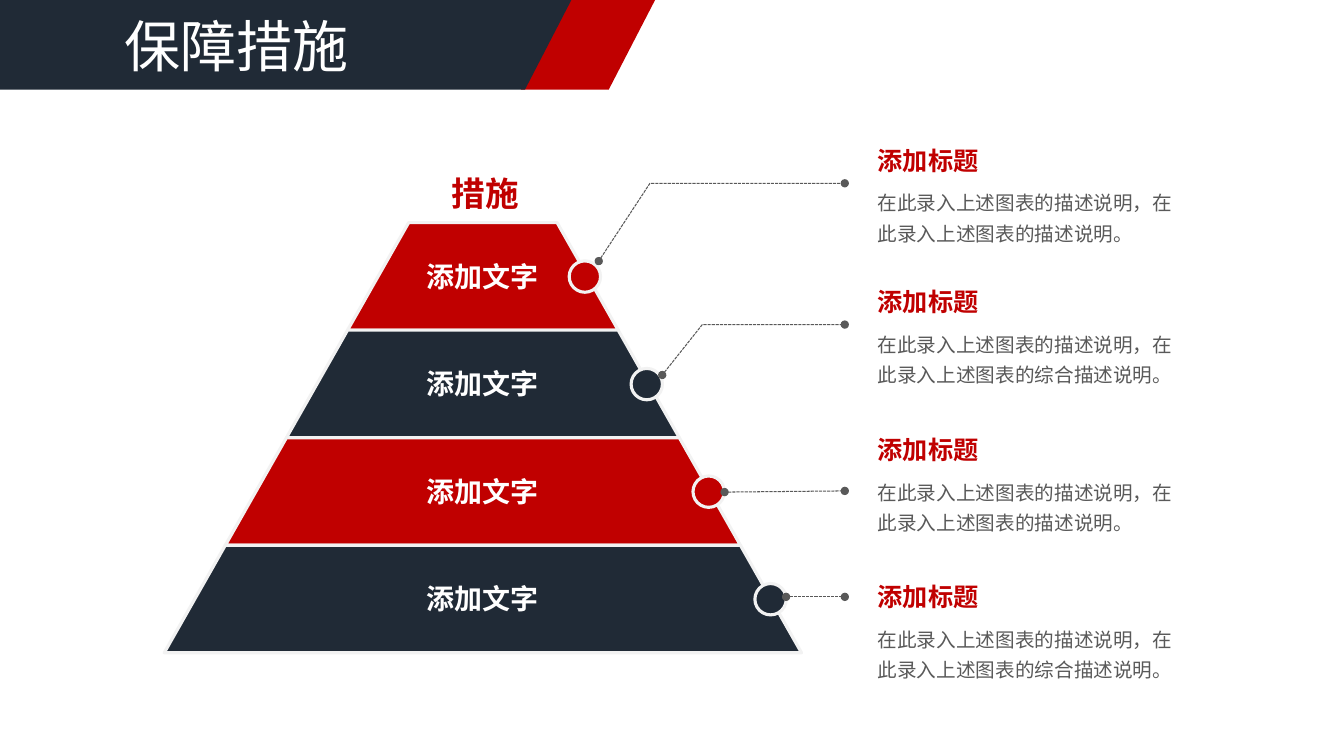
from typing import NamedTuple

from lxml.etree import SubElement
from pptx import Presentation
from pptx.dml.color import RGBColor
from pptx.enum.dml import MSO_LINE
from pptx.enum.shapes import MSO_CONNECTOR as Connector, MSO_SHAPE as Preset
from pptx.enum.text import MSO_ANCHOR as Anchor, MSO_AUTO_SIZE as AutoSize, PP_ALIGN as Align
from pptx.oxml.ns import qn
from pptx.util import Cm, Pt

COLOURS = {
    "red": "C00000",
    "navy": "202A36",
    "white": "FFFFFF",
    "edge": "F2F2F2",
    "grey": "595959",
}
CJK_FONT = "Noto Sans CJK SC"
TITLE_ONLY = 5

Point = tuple[float, float]

PYRAMID_CENTRE = 12.17
PYRAMID_TOP = 5.61
LAYER_HEIGHT = 2.71
TOP_HALF_WIDTH = 1.87
HALF_WIDTH_STEP = 1.54
LABEL_HEIGHT = 1.02
MARKER_SIZE = 0.79
FIRST_MARKER = (14.74, 6.97)
MARKER_STEP = 1.56
NOTE_LEFT = 21.87


class Layer(NamedTuple):
    colour: str
    label_width: float
    note_top: float
    note: str
    leader: list[Point]


SHORT_NOTE = "在此录入上述图表的描述说明，在此录入上述图表的描述说明。"
LONG_NOTE = "在此录入上述图表的描述说明，在此录入上述图表的综合描述说明。"

LAYERS = [
    Layer("red", 5.18, 3.53, SHORT_NOTE, [(15.09, 6.58), (16.38, 4.62), (21.29, 4.62)]),
    Layer("navy", 6.07, 7.09, LONG_NOTE, [(16.69, 9.45), (17.7, 8.18), (21.29, 8.18)]),
    Layer("red", 7.95, 10.82, SHORT_NOTE, [(18.26, 12.4), (21.29, 12.37)]),
    Layer("navy", 7.95, 14.53, LONG_NOTE, [(19.81, 15.04), (21.29, 15.04)]),
]


def rgb(name: str) -> RGBColor:
    return RGBColor.from_string(COLOURS[name])


def paint(shape, fill: str | None, edge: str | None = None) -> None:
    shape.shadow.inherit = False
    if fill:
        shape.fill.solid()
        shape.fill.fore_color.rgb = rgb(fill)
    else:
        shape.fill.background()
    if edge:
        shape.line.color.rgb = rgb(edge)
        shape.line.width = Pt(2.25)
    else:
        shape.line.fill.background()


def write_text(shape, text: str, *, size: float, colour: str, font: str = CJK_FONT,
               bold: bool = False, align: Align = Align.LEFT, wrap: bool = True,
               spacing: float = 1.0, insets: Point = (0.25, 0.13)) -> None:
    """Fill a shape with one formatted paragraph; insets are horizontal, vertical."""
    frame = shape.text_frame
    frame.word_wrap = wrap
    frame.auto_size = AutoSize.SHAPE_TO_FIT_TEXT
    frame.vertical_anchor = Anchor.TOP
    frame.margin_left = frame.margin_right = Cm(insets[0])
    frame.margin_top = frame.margin_bottom = Cm(insets[1])
    paragraph = frame.paragraphs[0]
    paragraph.alignment = align
    paragraph.line_spacing = spacing
    run = paragraph.add_run()
    run.text = text
    run.font.size = Pt(size)
    run.font.bold = bold
    run.font.color.rgb = rgb(colour)
    run.font.name = font
    SubElement(run.font._element, qn("a:ea"), typeface=CJK_FONT)


def add_text(slide, box: tuple[float, float, float, float], text: str, **text_format) -> None:
    write_text(slide.shapes.add_textbox(*map(Cm, box)), text, **text_format)


def add_outline(slide, points: list[Point], close: bool = True):
    first, *rest = [(Cm(x), Cm(y)) for x, y in points]
    builder = slide.shapes.build_freeform(*first)
    builder.add_line_segments(rest, close=close)
    return builder.convert_to_shape()


def add_leader(slide, points: list[Point]) -> None:
    """Draw a dashed line with round ends, straight or bent."""
    if len(points) == 2:
        start, end = points
        leader = slide.shapes.add_connector(
            Connector.STRAIGHT, *map(Cm, (*start, *end)))
    else:
        leader = add_outline(slide, points, close=False)
        paint(leader, None)
    leader.line.color.rgb = rgb("grey")
    leader.line.width = Pt(0.75)
    leader.line.dash_style = MSO_LINE.SQUARE_DOT
    properties = leader._element.spPr
    outline = properties.find(qn("a:ln"))
    for end_tag in ("a:headEnd", "a:tailEnd"):
        SubElement(outline, qn(end_tag), type="oval")
    if properties.find(qn("a:effectLst")) is None:
        SubElement(properties, qn("a:effectLst"))


def add_header(slide) -> None:
    stripe = slide.shapes.add_shape(
        Preset.PARALLELOGRAM, Cm(13.13), Cm(0), Cm(3.38), Cm(2.26))
    stripe.adjustments[0] = 0.517
    paint(stripe, "red")
    banner = add_outline(slide, [(0, 0), (14.4, 0), (13.23, 2.26), (0, 2.26)])
    paint(banner, "navy")
    title = slide.shapes.title
    title.left, title.top, title.width, title.height = map(Cm, (2.95, 0.18, 7.98, 1.91))
    write_text(title, "保障措施", size=40, colour="white", insets=(0.18, 0.1))
    slide.shapes._spTree.append(title._element)


def add_layer(slide, index: int, layer: Layer) -> None:
    top = PYRAMID_TOP + index * LAYER_HEIGHT
    bottom = top + LAYER_HEIGHT
    upper = TOP_HALF_WIDTH + index * HALF_WIDTH_STEP
    lower = upper + HALF_WIDTH_STEP
    trapezoid = add_outline(slide, [
        (PYRAMID_CENTRE - upper, top), (PYRAMID_CENTRE - lower, bottom),
        (PYRAMID_CENTRE + lower, bottom), (PYRAMID_CENTRE + upper, top)])
    paint(trapezoid, layer.colour, "edge")
    label_box = (PYRAMID_CENTRE - layer.label_width / 2,
                 top + (LAYER_HEIGHT - LABEL_HEIGHT) / 2,
                 layer.label_width, LABEL_HEIGHT)
    add_text(slide, label_box, "添加文字", size=20, colour="white", bold=True,
             align=Align.CENTER, insets=(0.18, 0.08))


def add_callout(slide, index: int, layer: Layer) -> None:
    """Add the round marker, its leader line and the note beside the pyramid."""
    left = FIRST_MARKER[0] + index * MARKER_STEP - MARKER_SIZE / 2
    top = FIRST_MARKER[1] + index * LAYER_HEIGHT - MARKER_SIZE / 2
    marker = slide.shapes.add_shape(
        Preset.OVAL, *map(Cm, (left, top, MARKER_SIZE, MARKER_SIZE)))
    paint(marker, layer.colour, "edge")
    add_leader(slide, layer.leader)
    add_text(slide, (NOTE_LEFT, layer.note_top, 3.07, 1.02), "添加标题",
             size=18, colour="red", bold=True, wrap=False)
    add_text(slide, (NOTE_LEFT, layer.note_top + 0.98, 8.28, 1.73), layer.note,
             size=14, colour="grey", spacing=1.3)


def main() -> None:
    presentation = Presentation()
    presentation.slide_width = Cm(33.87)
    presentation.slide_height = Cm(19.05)
    slide = presentation.slides.add_slide(presentation.slide_layouts[TITLE_ONLY])
    add_header(slide)
    for index, layer in enumerate(LAYERS):
        add_layer(slide, index, layer)
    for index, layer in enumerate(LAYERS):
        add_callout(slide, index, layer)
    add_text(slide, (11.13, 4.24, 2.24, 1.27), "措施", size=24, colour="red",
             font="Arial", bold=True, wrap=False)
    presentation.save("out.pptx")


if __name__ == "__main__":
    main()
